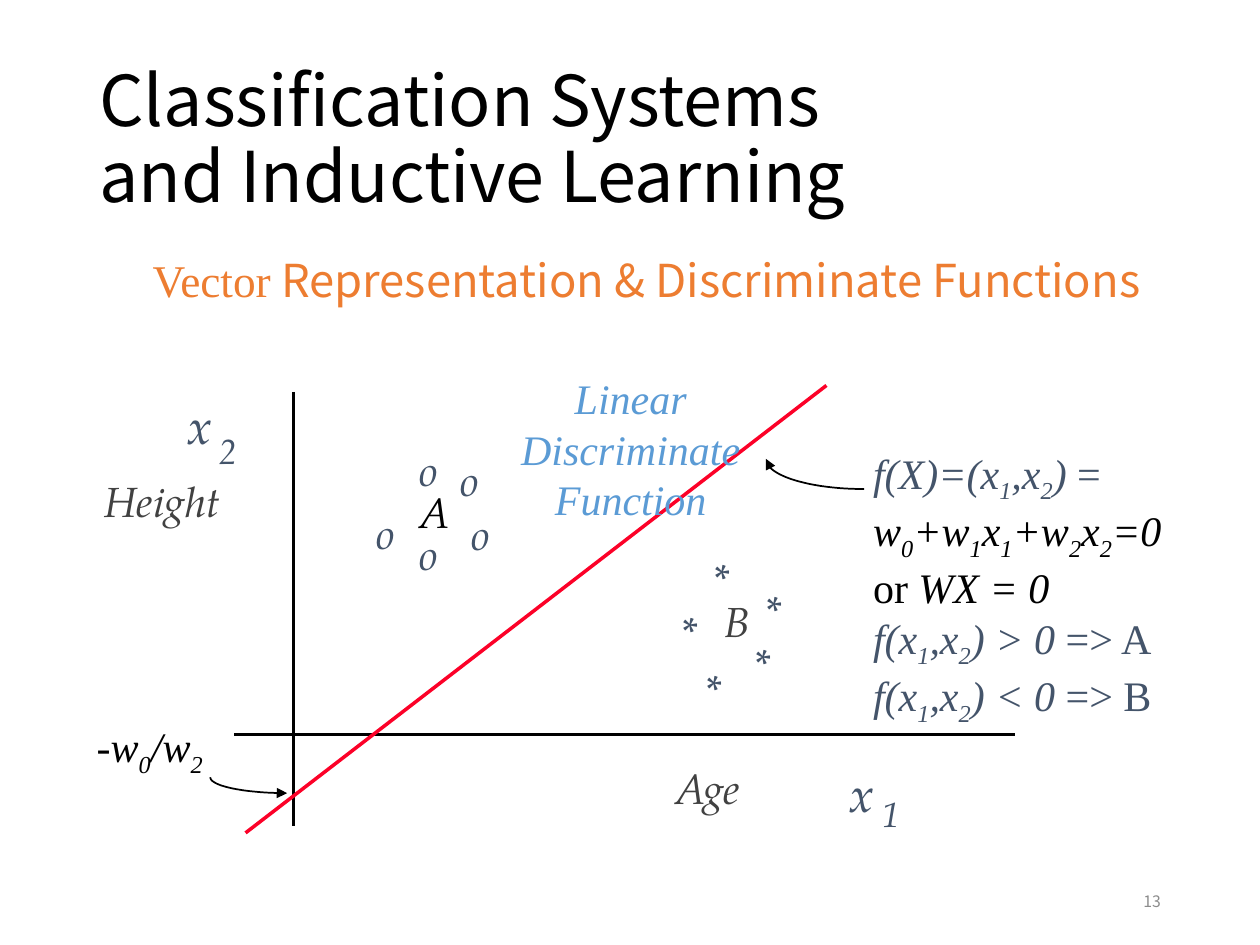
from dataclasses import dataclass
from math import cos, radians, sin

from pptx import Presentation
from pptx.dml.color import RGBColor
from pptx.enum.shapes import MSO_CONNECTOR as Link
from pptx.enum.text import MSO_ANCHOR as Anchor, MSO_AUTO_SIZE as Fit, PP_ALIGN as Align
from pptx.oxml.ns import qn
from pptx.util import Cm, Pt
from lxml.etree import SubElement

SANS = "Noto Sans CJK KR"
SERIF = "Times New Roman"
PAGELLA = "TeX Gyre Pagella"
BLACK, GREY, SLATE, RED = "000000", "414141", "44546A", "FC0128"
ORANGE, BLUE, PALE = "ED7D31", "5B9BD5", "8C8C8C"


@dataclass(frozen=True)
class Words:
    text: str
    color: str = BLACK
    size: float = 24
    font: str = SERIF
    italic: bool = True


@dataclass(frozen=True)
class Label:
    words: Words
    left: float
    top: float
    width: float
    height: float = 1.27


@dataclass(frozen=True)
class Line:
    start: tuple[float, float]
    end: tuple[float, float]
    color: str = BLACK


@dataclass(frozen=True)
class Arc:
    center: tuple[float, float]
    radii: tuple[float, float]
    angles: tuple[int, int]


def rgb(color: str) -> RGBColor:
    return RGBColor.from_string(color)


def apply(target, **values) -> None:
    for name, value in values.items():
        setattr(target, name, value)


def write_words(para, words: Words) -> None:
    first, *rest = words.text.split("_")
    pieces = [(first, False)]
    for part in rest:
        pieces += [(part[0], True), (part[1:], False)]
    for text, lowered in pieces:
        if not text:
            continue
        span = para.add_run()
        span.text = text
        apply(span.font, name=words.font, size=Pt(words.size), italic=words.italic, bold=False)
        span.font.color.rgb = rgb(words.color)
        if lowered:
            span.font._element.set("baseline", "-25000")


def fill_frame(frame, lines: list[list[Words]], **layout) -> None:
    for index, line in enumerate(lines):
        para = frame.add_paragraph() if index else frame.paragraphs[0]
        apply(para, **layout)
        for words in line:
            write_words(para, words)


def add_text(page, lines: list[list[Words]], place: tuple, wrap: bool = False, **layout):
    box = page.shapes.add_textbox(*map(Cm, place))
    fit = Fit.NONE if wrap else Fit.SHAPE_TO_FIT_TEXT
    apply(box.text_frame, word_wrap=wrap, auto_size=fit)
    fill_frame(box.text_frame, lines, **layout)
    return box


def add_label(page, label: Label) -> None:
    add_text(page, [[label.words]], (label.left, label.top, label.width, label.height))


def add_line(page, line: Line) -> None:
    link = page.shapes.add_connector(Link.STRAIGHT, *map(Cm, line.start + line.end))
    link.line.color.rgb = rgb(line.color)
    link.line.width = Pt(2)
    SubElement(link._element.spPr, qn("a:effectLst"))


def add_arc_arrow(page, arc: Arc, steps: int = 24) -> None:
    first, last = arc.angles
    turns = [radians(first + (last - first) * step / steps) for step in range(steps + 1)]
    (middle_x, middle_y), (radius_x, radius_y) = arc.center, arc.radii
    points = [
        (Cm(middle_x + radius_x * cos(turn)), Cm(middle_y + radius_y * sin(turn)))
        for turn in turns
    ]
    builder = page.shapes.build_freeform(*points[0])
    builder.add_line_segments(points[1:], close=False)
    curve = builder.convert_to_shape()
    curve.shadow.inherit = False
    curve.fill.background()
    curve.line.color.rgb = rgb(BLACK)
    curve.line.width = Pt(1)
    SubElement(curve.line._get_or_add_ln(), qn("a:tailEnd"), type="triangle")


def pagella(text: str, color: str = SLATE, size: float = 24) -> Words:
    return Words(text, color, size, PAGELLA)


def upright(text: str, color: str = SLATE) -> Words:
    return Words(text, color, italic=False)


AXES = [Line((5.92, 7.9), (5.92, 16.66)), Line((4.72, 14.81), (20.47, 14.81))]
BOUNDARY = Line((4.95, 16.79), (16.66, 7.77), RED)

AXIS_LABELS = [
    Label(pagella("x", size=28), 3.53, 7.85, 0.99, 1.42),
    Label(pagella("x", size=28), 16.87, 15.27, 0.99, 1.42),
    Label(pagella("Height", GREY), 1.85, 9.47, 2.87),
    Label(pagella("Age", GREY), 13.36, 15.24, 1.88),
    Label(pagella("2", size=20), 4.17, 8.53, 0.86, 1.09),
    Label(pagella("1", size=20), 17.55, 15.85, 0.84, 1.09),
]
CLASS_A = [(8.2, 10.52), (8.2, 8.84), (9.04, 9.04), (9.25, 10.13), (7.34, 10.11)]
CLASS_B = [(14.15, 11.02), (13.51, 12.09), (14, 13.26), (15.21, 11.66), (14.99, 12.73)]
SAMPLES = [Label(pagella("o"), *spot, 0.89) for spot in CLASS_A]
SAMPLES += [Label(pagella("*"), *spot, 0.84) for spot in CLASS_B]
CLASS_NAMES = [
    Label(pagella("A", BLACK), 8.2, 9.68, 1.12),
    Label(pagella("B", GREY), 14.35, 11.89, 1.02),
]
FORMULAS = [
    [Words("f(X)=(x_1,x_2)", SLATE), upright(" =")],
    [Words("w_0+w_1x_1+w_2x_2=0")],
    [upright("or", BLACK), Words(" WX = 0")],
    [Words("f(x_1,x_2) > 0", SLATE), upright(" => A")],
    [Words("f(x_1,x_2) < 0", SLATE), upright(" => B")],
]
ARROWS = [
    Arc((17.42, 9.25), (1.98, 0.61), (90, 180)),
    Arc((5.79, 15.67), (1.55, 0.32), (180, 90)),
]


def add_headings(page) -> None:
    title = page.shapes.title
    apply(title, left=Cm(1.75), top=Cm(1.02), width=Cm(21.9), height=Cm(3.68))
    frame = title.text_frame
    apply(frame, word_wrap=True, auto_size=Fit.NONE, vertical_anchor=Anchor.MIDDLE)
    heading = Words("Classification Systems \vand Inductive Learning", BLACK, 40, SANS, False)
    para = frame.paragraphs[0]
    apply(para, alignment=Align.LEFT, line_spacing=0.9)
    first, second = heading.text.split("\v")
    for text in (first, second):
        if text is second:
            para.add_line_break()
        write_words(para, Words(text, heading.color, heading.size, heading.font, False))

    subtitle = [
        Words("Vector", ORANGE, 25.9, SERIF, False),
        Words(" Representation & Discriminate Functions", ORANGE, 25.9, SANS, False),
    ]
    add_text(page, [subtitle], (2.34, 5.08, 21.39, 1.9), wrap=True,
             alignment=Align.CENTER, line_spacing=0.9, space_before=Pt(7.5))


def main() -> None:
    deck = Presentation()
    apply(deck, slide_width=Cm(25.4), slide_height=Cm(19.05))
    page = deck.slides.add_slide(deck.slide_layouts[5])
    add_headings(page)
    for axis in AXES:
        add_line(page, axis)
    for label in AXIS_LABELS + SAMPLES:
        add_label(page, label)
    add_line(page, BOUNDARY)
    for label in CLASS_NAMES:
        add_label(page, label)
    caption = [[Words(text, BLUE)] for text in ("Linear", "Discriminate", "Function")]
    add_text(page, caption, (9.02, 7.39, 7.39, 3.3), alignment=Align.CENTER)
    add_text(page, FORMULAS, (17.35, 8.89, 6.5, 5.33))
    add_label(page, Label(Words("-w_0/w_2"), 1.7, 14.4, 2.72))
    for arrow in ARROWS:
        add_arc_arrow(page, arrow)
    number = add_text(page, [[Words("13", PALE, 9, SANS, False)]],
                      (17.93, 17.65, 5.72, 1.02), wrap=True, alignment=Align.RIGHT)
    number.text_frame.vertical_anchor = Anchor.MIDDLE
    deck.save("out.pptx")


if __name__ == "__main__":
    main()
